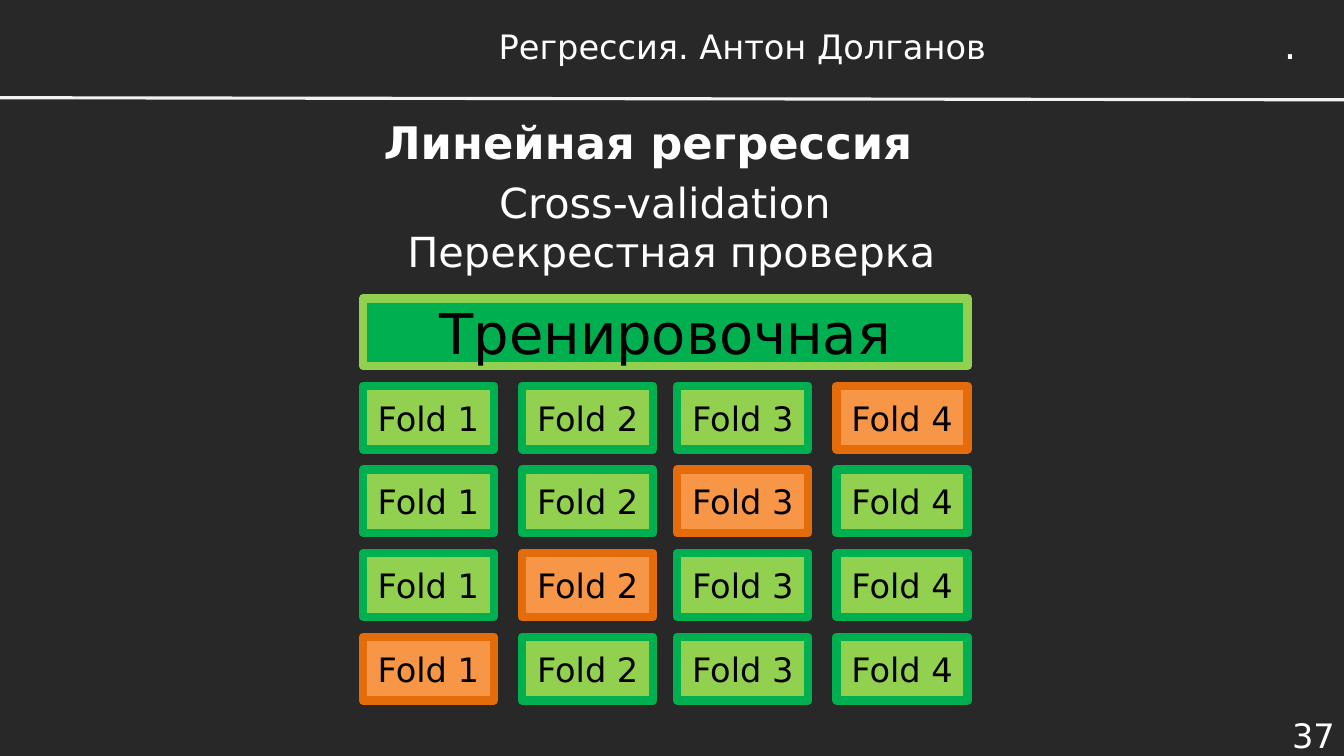
import pptx
import pptx.util
import pptx.dml.color
import pptx.enum.text
import pptx.enum.shapes
import pptx.oxml.ns
import lxml.etree

Pt = pptx.util.Pt
RGBColor = pptx.dml.color.RGBColor
ALIGN = pptx.enum.text.PP_ALIGN
ANCHOR = pptx.enum.text.MSO_ANCHOR
AUTO_SIZE = pptx.enum.text.MSO_AUTO_SIZE
SHAPES = pptx.enum.shapes.MSO_SHAPE

CHARCOAL = RGBColor(0x27, 0x28, 0x27)
WHITE = RGBColor(0xFF, 0xFF, 0xFF)
BLACK = RGBColor(0, 0, 0)
RULE_GRAY = RGBColor(0xF2, 0xF2, 0xF2)
GREEN = RGBColor(0x00, 0xB0, 0x50)
LIME = RGBColor(0x92, 0xD0, 0x50)
ORANGE = RGBColor(0xF7, 0x96, 0x46)
DARK_ORANGE = RGBColor(0xE4, 0x6C, 0x0A)
FONT = "DejaVu Sans"

TITLE = "Линейная регрессия"
TITLE_AREA = (151.2, 68.4, 623.5, 65.5)
LABELS = [
    (["37"], (884.9, 509.8, 75.6, 30.2), dict(size=24, align=ALIGN.RIGHT)),
    (["Регрессия. Антон Долганов"], (247.7, 13.7, 565.2, 38.2), dict(size=24)),
    (["."], (910.1, 10.8, 24.5, 41), dict(size=28, align=ALIGN.LEFT, anchor=ANCHOR.TOP, wrap=False)),
    (["Cross-validation ", "Перекрестная проверка"], (113, 128.9, 733.7, 65.5), dict(size=29.6)),
]
TRAINING = "Тренировочная"
TRAINING_AREA = (259.2, 213.1, 432, 48.2)
FOLDS = ["Fold 1", "Fold 2", "Fold 3", "Fold 4"]
FOLD_LEFTS = [259.2, 373, 483.8, 597.6]
FOLD_TOP, FOLD_STEP = 275.6, 59.8
FOLD_WIDTH, FOLD_HEIGHT = 93.6, 45.4


def write(shape, lines, size=24, color=WHITE, bold=False, align=ALIGN.CENTER,
          anchor=ANCHOR.MIDDLE, wrap=True):
    frame = shape.text_frame
    frame.word_wrap = wrap
    frame.auto_size = AUTO_SIZE.NONE if wrap else AUTO_SIZE.SHAPE_TO_FIT_TEXT
    frame.vertical_anchor = anchor
    for index, line in enumerate(lines):
        para = frame.add_paragraph() if index else frame.paragraphs[0]
        para.alignment = align
        span = para.add_run()
        span.text = line
        span.font.name = FONT
        span.font.size = Pt(size)
        span.font.bold = bold
        span.font.color.rgb = color


def add_block(page, text, area, fill, border, size):
    block = page.shapes.add_shape(SHAPES.RECTANGLE, *map(Pt, area))
    block.shadow.inherit = False
    block.fill.solid()
    block.fill.fore_color.rgb = fill
    block.line.color.rgb = border
    block.line.width = Pt(6)
    write(block, [text], size=size, color=BLACK)


def main():
    deck = pptx.Presentation()
    deck.slide_width, deck.slide_height = Pt(960), Pt(540)
    page = deck.slides.add_slide(deck.slide_layouts[5])
    page.background.fill.solid()
    page.background.fill.fore_color.rgb = CHARCOAL

    title = page.shapes.title
    title.left, title.top, title.width, title.height = map(Pt, TITLE_AREA)
    write(title, [TITLE], size=32, bold=True)

    rule = page.shapes.add_connector(
        pptx.enum.shapes.MSO_CONNECTOR.STRAIGHT, Pt(0), Pt(69.8), Pt(960), Pt(71.3))
    rule.line.color.rgb = RULE_GRAY
    rule.line.width = Pt(2.25)
    lxml.etree.SubElement(rule.element.spPr, pptx.oxml.ns.qn("a:effectLst"))

    for lines, area, style in LABELS:
        write(page.shapes.add_textbox(*map(Pt, area)), lines, **style)

    add_block(page, TRAINING, TRAINING_AREA, GREEN, LIME, 40)
    for row in range(len(FOLDS)):
        held_out = len(FOLDS) - 1 - row
        for column, fold in enumerate(FOLDS):
            area = (FOLD_LEFTS[column], FOLD_TOP + row * FOLD_STEP, FOLD_WIDTH, FOLD_HEIGHT)
            fill, border = (ORANGE, DARK_ORANGE) if column == held_out else (LIME, GREEN)
            add_block(page, fold, area, fill, border, 24)

    deck.save("out.pptx")


if __name__ == "__main__":
    main()
